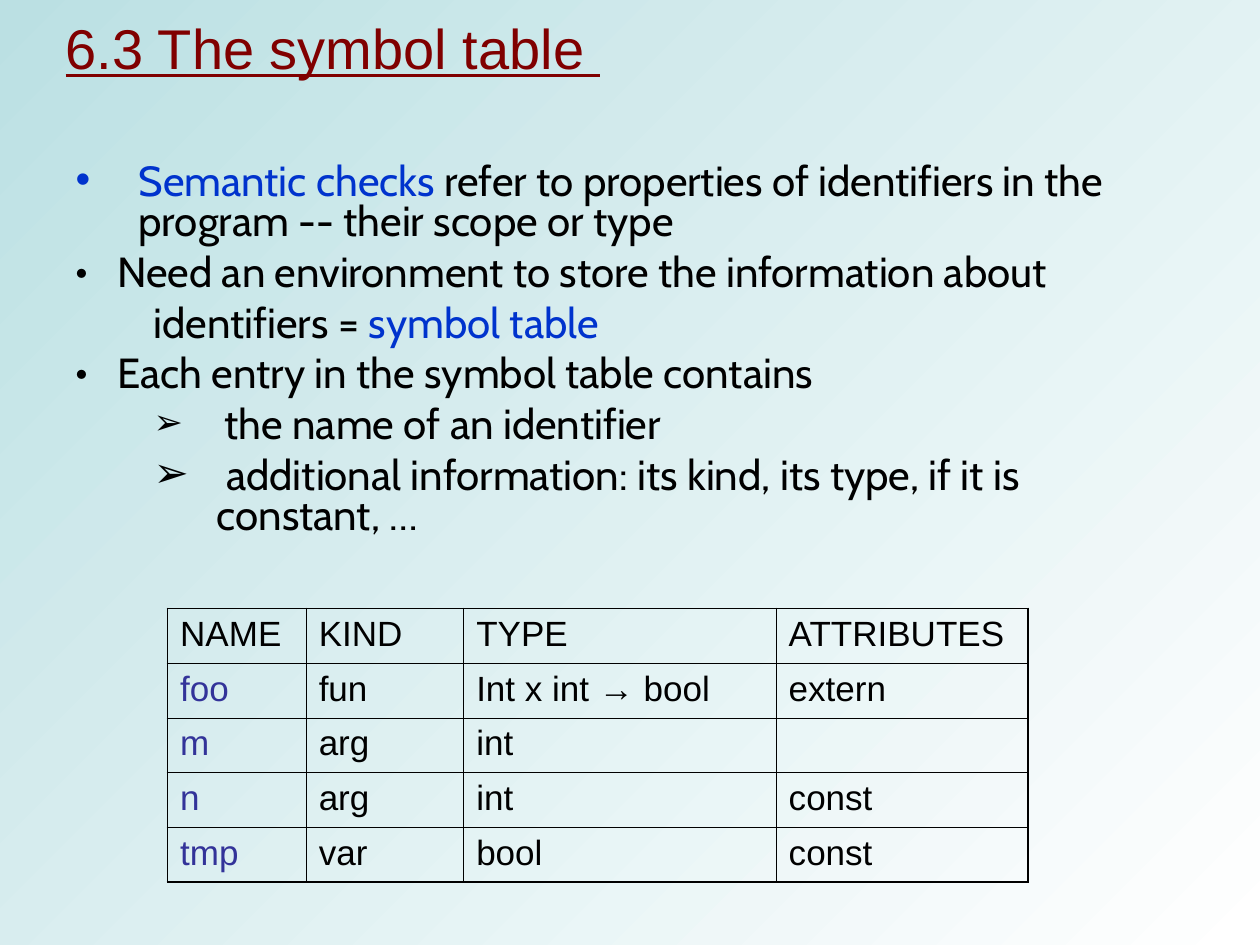
import pptx
import pptx.util
import pptx.dml.color
import pptx.enum.text
import pptx.oxml
import pptx.oxml.ns
from pptx.util import Inches

BLACK, BLUE, NAVY, RED = "000000", "0033CD", "333399", "800000"


def paint(hue):
    return pptx.dml.color.RGBColor.from_string(hue)


def write(para, text, size=24, font="Cabin", hue=BLACK, line=False):
    run = para.add_run()
    run.text = text
    run.font.size = pptx.util.Pt(size)
    run.font.name = font
    run.font.color.rgb = paint(hue)
    run.font.underline = line


deck = pptx.Presentation()
deck.slide_width = Inches(10)
deck.slide_height = Inches(7.5)
slide = deck.slides.add_slide(deck.slide_layouts[1])

back = slide.background.fill
back.gradient()
back.gradient_angle = 315
for stop, place, hue in zip(back.gradient_stops, (0, 1), ("BBE0E3", "FFFFFF")):
    stop.position = place
    stop.color.rgb = paint(hue)

title, body = slide.placeholders
boxes = [
    (title, (0.42, 0, 6.67, 0.75), pptx.enum.text.MSO_ANCHOR.MIDDLE),
    (body, (0.5, 1.25, 8.5, 3.42), pptx.enum.text.MSO_ANCHOR.TOP),
]
for box, place, anchor in boxes:
    box.left, box.top, box.width, box.height = [Inches(n) for n in place]
    frame = box.text_frame
    frame.word_wrap = True
    frame.auto_size = pptx.enum.text.MSO_AUTO_SIZE.NONE
    frame.vertical_anchor = anchor

head = title.text_frame.paragraphs[0]
head.alignment = pptx.enum.text.PP_ALIGN.LEFT
write(head, "6.3 The symbol table ", size=32, font="Arial", hue=RED, line=True)

points = [
    (0, 0.5, 0.5, "•", "Arial", BLUE, [
        ("Semantic checks ", {"hue": BLUE}),
        ("refer to properties of identifiers in the program -- their scope or type", {}),
    ]),
    (0, 0.33, 0.33, "•", "Cabin", BLACK, [
        ("Need an environment to store the information about", {}),
    ]),
    (1, 1.12, 0.5, None, None, None, [
        ("identifiers = ", {}),
        ("symbol table", {"hue": BLUE}),
    ]),
    (0, 0.33, 0.33, "•", "Cabin", BLACK, [
        ("Each entry in the symbol table contains", {}),
    ]),
    (1, 1.12, 0.5, "➢", "Arial", BLACK, [
        (" ", {"size": 20}),
        ("the name of an identifier", {}),
    ]),
    (1, 1.12, 0.5, "➢", "Arial", BLACK, [
        (" additional information: its kind, its type, if it is constant, …", {}),
    ]),
]
space = pptx.oxml.ns.nsdecls("a")
frame = body.text_frame
for row, (level, left, hang, mark, font, hue, runs) in enumerate(points):
    para = frame.add_paragraph() if row else frame.paragraphs[0]
    para.level = level
    para.line_spacing = 0.8
    para.space_before = pptx.util.Pt(6 if row else 0)
    props = para._p.get_or_add_pPr()
    props.set("marL", str(Inches(left)))
    props.set("indent", str(-Inches(hang)))
    if mark:
        parts = [
            f'<a:buClr {space}><a:srgbClr val="{hue}"/></a:buClr>',
            f'<a:buFont {space} typeface="{font}"/>',
            f'<a:buChar {space} char="{mark}"/>',
        ]
    else:
        parts = [f"<a:buNone {space}/>"]
    for part in parts:
        props.append(pptx.oxml.parse_xml(part))
    for text, style in runs:
        write(para, text, **style)

rows = [
    ("NAME", "KIND", "TYPE", "ATTRIBUTES"),
    ("foo", "fun", "Int x int → bool", "extern"),
    ("m", "arg", "int", ""),
    ("n", "arg", "int", "const"),
    ("tmp", "var", "bool", "const"),
]
wides = (1.1, 1.25, 2.48, 2)
grid = slide.shapes.add_table(
    len(rows), len(wides), Inches(1.33), Inches(4.83), Inches(sum(wides)), Inches(2.17)
).table
grid.first_row = False
grid.horz_banding = False
for col, wide in zip(grid.columns, wides):
    col.width = Inches(wide)

for r, texts in enumerate(rows):
    for c, text in enumerate(texts):
        cell = grid.cell(r, c)
        props = cell._tc.get_or_add_tcPr()
        edges = {
            "L": c == 0,
            "R": c == len(wides) - 1,
            "T": r == 0,
            "B": r == len(rows) - 1,
        }
        for side, outer in edges.items():
            width = pptx.util.Pt(1.08 if outer else 0.45)
            props.append(pptx.oxml.parse_xml(
                f'<a:ln{side} {space} w="{width}"><a:solidFill>'
                f'<a:srgbClr val="{BLACK}"/></a:solidFill></a:ln{side}>'
            ))
        cell.fill.background()
        if text:
            hue = NAVY if r and c == 0 else BLACK
            write(cell.text_frame.paragraphs[0], text, size=20, font="Arial", hue=hue)

deck.save("out.pptx")
